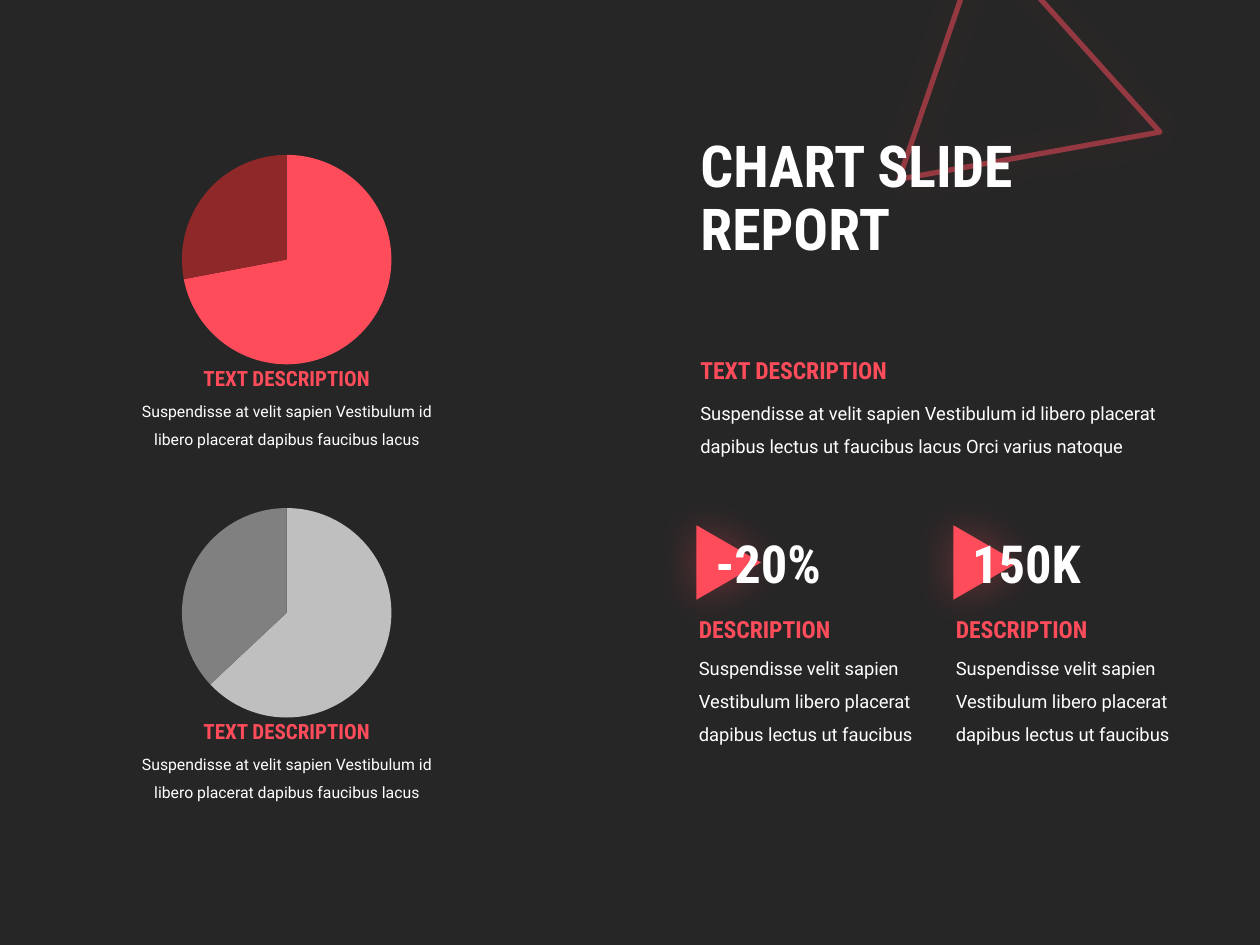
import dataclasses

import lxml.etree
import pptx
import pptx.chart.data
import pptx.dml.color
import pptx.enum.chart
import pptx.enum.shapes
import pptx.enum.text
import pptx.oxml.ns
import pptx.util

Cm = pptx.util.Cm
Pt = pptx.util.Pt
qn = pptx.oxml.ns.qn
SHAPE = pptx.enum.shapes.MSO_SHAPE
ALIGN = pptx.enum.text.PP_ALIGN
ANCHOR = pptx.enum.text.MSO_ANCHOR


@dataclasses.dataclass(frozen=True)
class Theme:
    back: str = "262626"
    accent: str = "FF4C5B"
    accent_dark: str = "8F2828"
    light_grey: str = "BFBFBF"
    mid_grey: str = "808080"
    text: str = "FFFFFF"
    head_font: str = "Roboto Condensed"
    body_font: str = "Roboto"
    title_size: float = 33
    number_size: float = 30
    heading_size: float = 13.5
    label_size: float = 12
    body_size: float = 10.5
    chart_size: float = 10
    caption_size: float = 9


@dataclasses.dataclass(frozen=True)
class Box:
    """A rectangle in centimetres."""
    left: float
    top: float
    width: float
    height: float

    def inner(self, dx, dy, width, height):
        return Box(self.left + dx, self.top + dy, width, height)

    def lengths(self):
        return Cm(self.left), Cm(self.top), Cm(self.width), Cm(self.height)


THEME = Theme()


def rgb(value):
    return pptx.dml.color.RGBColor.from_string(value)


def set_alpha(color_format_parent, percent):
    color = color_format_parent.find(".//" + qn("a:srgbClr"))
    lxml.etree.SubElement(color, qn("a:alpha"), val=str(percent * 1000))


def add_glow(shape):
    """Give the shape a soft, centred accent shadow."""
    shape.shadow.inherit = False
    effects = shape._element.spPr.find(qn("a:effectLst"))
    shadow = lxml.etree.SubElement(
        effects, qn("a:outerShdw"), blurRad=str(Pt(25)), dist="0", dir="0",
        algn="ctr", rotWithShape="0")
    lxml.etree.SubElement(shadow, qn("a:srgbClr"), val=THEME.accent)
    set_alpha(shadow, 35)


def add_text(page, box, lines, size, color=THEME.text, heading=False,
             align=ALIGN.LEFT, spacing=1.0, anchor=ANCHOR.TOP):
    frame = page.shapes.add_textbox(*box.lengths()).text_frame
    frame.word_wrap = True
    frame.vertical_anchor = anchor
    para = frame.paragraphs[0]
    para.alignment = align
    para.line_spacing = spacing
    for index, line in enumerate(lines):
        if index:
            para.add_line_break()
        span = para.add_run()
        span.text = line
        span.font.name = THEME.head_font if heading else THEME.body_font
        span.font.size = Pt(size)
        span.font.bold = heading
        span.font.color.rgb = rgb(color)


def add_heading(page, box, text, size=THEME.heading_size, align=ALIGN.LEFT):
    add_text(page, box, [text], size, THEME.accent, True, align)


def add_body(page, box, text, size=THEME.body_size, align=ALIGN.LEFT):
    add_text(page, box, [text], size, align=align, spacing=1.5)


def add_outline_triangle(page, box):
    triangle = page.shapes.add_shape(SHAPE.ISOSCELES_TRIANGLE, *box.lengths())
    triangle.rotation = 108.9
    triangle.fill.background()
    triangle.line.color.rgb = rgb(THEME.accent)
    triangle.line.width = Pt(3)
    set_alpha(triangle.line._ln, 50)
    add_glow(triangle)


def add_side_panel(page, box):
    panel = page.shapes.add_shape(SHAPE.RECTANGLE, *box.lengths())
    panel.shadow.inherit = False
    panel.fill.solid()
    panel.fill.fore_color.rgb = rgb(THEME.back)
    set_alpha(panel._element.spPr, 90)
    panel.line.fill.background()


def fix_plot_area(chart, x, y, w, h):
    """Place the plot by fractions of the chart's frame."""
    plot_area = chart._chartSpace.chart.plotArea
    for old in plot_area.findall(qn("c:layout")):
        plot_area.remove(old)
    layout = lxml.etree.Element(qn("c:layout"))
    manual = lxml.etree.SubElement(layout, qn("c:manualLayout"))
    settings = {"layoutTarget": "inner", "xMode": "edge", "yMode": "edge",
                "x": x, "y": y, "w": w, "h": h}
    for name, value in settings.items():
        lxml.etree.SubElement(manual, qn("c:" + name), val=str(value))
    plot_area.insert(0, layout)


def add_pie(page, box, values, colors):
    data = pptx.chart.data.CategoryChartData()
    data.categories = ["1", "2"]
    data.add_series("Series 1", values)
    chart = page.shapes.add_chart(
        pptx.enum.chart.XL_CHART_TYPE.PIE, *box.lengths(), data).chart
    chart.has_legend = False
    chart.has_title = False
    chart.font.name = THEME.body_font
    chart.font.size = Pt(THEME.chart_size)
    chart.font.color.rgb = rgb(THEME.text)
    plot = chart.plots[0]
    plot.vary_by_categories = True
    for index, color in enumerate(colors):
        slice_format = plot.series[0].points[index].format
        slice_format.fill.solid()
        slice_format.fill.fore_color.rgb = rgb(color)
        slice_format.line.fill.background()
    fix_plot_area(chart, 0.18, 0.07, 0.64, 0.86)


def add_pie_panel(page, box, values, colors):
    add_pie(page, box.inner(0, 0, box.width, 4.93), values, colors)
    add_body(page, box.inner(0, 5.01, box.width, 1.35),
             "Suspendisse at velit sapien Vestibulum id libero placerat "
             "dapibus faucibus lacus", THEME.caption_size, ALIGN.CENTER)
    add_heading(page, box.inner((box.width - 4.67) / 2, 4.47, 4.67, 0.76),
                "TEXT DESCRIPTION", THEME.label_size, ALIGN.CENTER)


def add_introduction(page, box):
    add_text(page, box.inner(0, 0, box.width, 4.01), ["CHART SLIDE", "REPORT"],
             THEME.title_size, heading=True, spacing=0.9, anchor=ANCHOR.MIDDLE)
    add_body(page, box.inner(0, 5.74, 9.78, 1.52),
             "Suspendisse at velit sapien Vestibulum id libero placerat "
             "dapibus lectus ut faucibus lacus Orci varius natoque")
    add_heading(page, box.inner(0, 5.03, 4.67, 0.84), "TEXT DESCRIPTION")


def add_statistic(page, box, number):
    marker = page.shapes.add_shape(
        SHAPE.ISOSCELES_TRIANGLE, *box.inner(0.1, 0.1, 1.5, 1.3).lengths())
    marker.rotation = 90
    marker.fill.solid()
    marker.fill.fore_color.rgb = rgb(THEME.accent)
    marker.line.fill.background()
    add_glow(marker)
    add_body(page, box.inner(0, 2.31, box.width, 2.21),
             "Suspendisse velit sapien Vestibulum libero placerat "
             "dapibus lectus ut faucibus")
    add_heading(page, box.inner(0, 1.68, 4.67, 0.84), "DESCRIPTION")
    add_text(page, box.inner(0.33, 0, 3.4, 1.55), [number],
             THEME.number_size, heading=True)


def main():
    deck = pptx.Presentation()
    deck.slide_width, deck.slide_height = Cm(25.4), Cm(19.05)
    page = deck.slides.add_slide(deck.slide_layouts[6])
    page.background.fill.solid()
    page.background.fill.fore_color.rgb = rgb(THEME.back)

    add_outline_triangle(page, Box(18.57, -0.43, 5.21, 4.67))
    add_introduction(page, Box(13.87, 2.03, 10.72, 7.26))
    add_side_panel(page, Box(0, 0.03, 11.56, 19.02))
    pies = [((72, 28), (THEME.accent, THEME.accent_dark)),
            ((63, 37), (THEME.light_grey, THEME.mid_grey))]
    for row, (values, colors) in enumerate(pies):
        add_pie_panel(page, Box(2.48, 2.77 + 7.12 * row, 6.6, 6.36),
                      values, colors)
    for column, number in enumerate(["-20%", "150K"]):
        add_statistic(page, Box(13.84 + 5.18 * column, 10.59, 5.36, 4.52),
                      number)
    deck.save("out.pptx")


if __name__ == "__main__":
    main()
